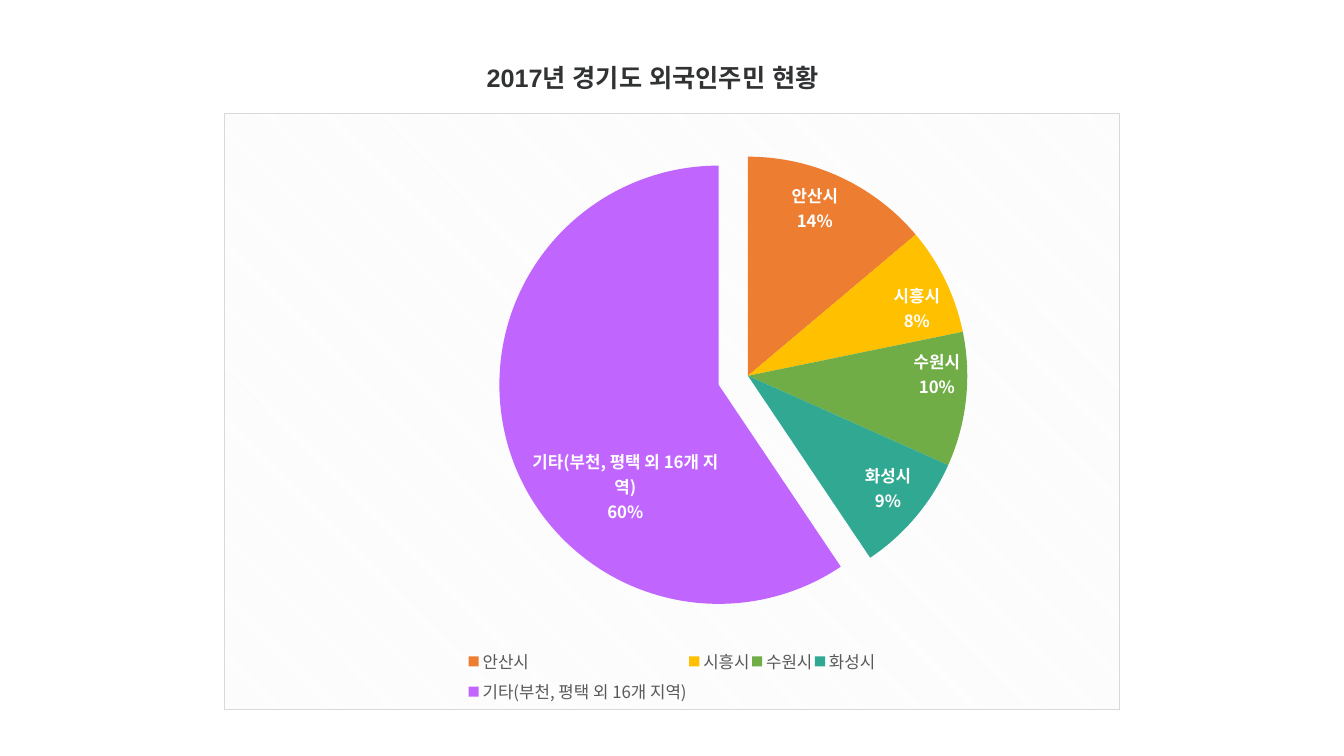
from copy import deepcopy
from lxml import etree
from pptx import Presentation
from pptx.chart.data import CategoryChartData as ChartData
from pptx.dml.color import RGBColor
from pptx.enum.chart import XL_CHART_TYPE as Kind, XL_LABEL_POSITION as Spot
from pptx.enum.chart import XL_LEGEND_POSITION as Side
from pptx.enum.text import MSO_AUTO_SIZE as Fit, PP_ALIGN as Align
from pptx.oxml import parse_xml
from pptx.oxml.ns import nsdecls, qn
from pptx.util import Pt

TITLE = "2017년 경기도 외국인주민 현황"
LATIN = "Arial"
KOREAN = "Noto Sans CJK KR"
WHITE = RGBColor(0xFF, 0xFF, 0xFF)
INK = RGBColor(0x30, 0x32, 0x33)
GREY = RGBColor(0x59, 0x59, 0x59)
BLACK = RGBColor(0, 0, 0)
CITIES = [
    ("안산시", 14, RGBColor(0xED, 0x7D, 0x31)),
    ("시흥시", 8, RGBColor(0xFF, 0xC0, 0x00)),
    ("수원시", 10, RGBColor(0x70, 0xAD, 0x47)),
    ("화성시", 9, RGBColor(0x31, 0xA9, 0x92)),
    ("기타(부천, 평택 외 16개 지역)", 60, RGBColor(0xC1, 0x65, 0xFF)),
]
PLOT = (0.34, 0.07, 0.49, 0.74)
LEGEND = (0.27, 0.89, 0.46, 0.11)
BURST = 14
SHIFT = (0.02, 0.13)
ROOM = (0.18, 0.15)

FRAME = f"""<c:spPr {nsdecls('c', 'a')}>
  <a:pattFill prst="dkDnDiag">
    <a:fgClr><a:srgbClr val="F2F2F2"/></a:fgClr>
    <a:bgClr><a:srgbClr val="FFFFFF"/></a:bgClr>
  </a:pattFill>
  <a:ln w="9525"><a:solidFill><a:srgbClr val="D9D9D9"/></a:solidFill></a:ln>
</c:spPr>"""

EXTRA = f"""<c:extLst {nsdecls('c')}>
  <c:ext uri="{{CE6537A1-D6FC-4f65-9D91-7224C49458BB}}"
    xmlns:c15="http://schemas.microsoft.com/office/drawing/2012/chart">
    <c15:layout><c:manualLayout>
      <c:w val="{ROOM[0]}"/><c:h val="{ROOM[1]}"/>
    </c:manualLayout></c15:layout>
  </c:ext>
</c:extLst>"""


def style(font, name, size, color, bold=False):
    """Set one font for both Latin and Korean letters."""
    font.name, font.size, font.bold = name, Pt(size), bold
    font.color.rgb = color
    latin = font._element.find(qn("a:latin"))
    latin.addnext(etree.Element(qn("a:ea"), typeface=name))


def layout(tags):
    """Return a manual layout made of (tag, value) pairs."""
    body = "".join(f'<c:{tag} val="{val}"/>' for tag, val in tags)
    return parse_xml(f"<c:layout {nsdecls('c')}><c:manualLayout>{body}"
                     "</c:manualLayout></c:layout>")


def place_box(part, box, lead=()):
    """Pin a chart part to a box given in shares of the chart."""
    for old in part.findall(qn("c:layout")):
        part.remove(old)
    tags = [*lead, ("xMode", "edge"), ("yMode", "edge"), *zip("xywh", box)]
    spot = part.find(qn("c:legendPos"))
    part.insert(0 if spot is None else part.index(spot) + 1, layout(tags))


def move_last(group):
    """Give the last slice its own label, shifted and narrowed."""
    label = etree.Element(qn("c:dLbl"))
    etree.SubElement(label, qn("c:idx"), val=str(len(CITIES) - 1))
    label.append(layout(zip("xy", SHIFT)))
    for item in group:
        if item.tag != qn("c:showLeaderLines"):
            label.append(deepcopy(item))
    label.append(parse_xml(EXTRA))
    group.insert(0, label)


def add_pie(slide):
    data = ChartData()
    data.categories = [city for city, _, _ in CITIES]
    data.add_series("외국인주민", [share for _, share, _ in CITIES])
    chart = slide.shapes.add_chart(
        Kind.PIE, Pt(160), Pt(81), Pt(640), Pt(426), data).chart
    style(chart.font, KOREAN, 10, BLACK)
    chart.has_title = False

    plot = chart.plots[0]
    plot.vary_by_categories = True
    pie = plot.series[0]
    for spot, (_, _, color) in enumerate(CITIES):
        fill = pie.points[spot].format.fill
        fill.solid()
        fill.fore_color.rgb = color
    last = pie._element.findall(qn("c:dPt"))[-1]
    burst = etree.Element(qn("c:explosion"), val=str(BURST))
    last.find(qn("c:spPr")).addprevious(burst)

    labels = pie.data_labels
    style(labels.font, KOREAN, 12, WHITE, True)
    labels.number_format = '0"%"'
    labels.number_format_is_linked = False
    labels.show_value = labels.show_category_name = True
    labels.position = Spot.INSIDE_END
    gap = etree.Element(qn("c:separator"))
    gap.text = "\n"
    labels._element.find(qn("c:showBubbleSize")).addnext(gap)
    move_last(labels._element)

    chart.has_legend = True
    legend = chart.legend
    legend.position = Side.BOTTOM
    legend.include_in_layout = False
    style(legend.font, KOREAN, 12, GREY)

    root = chart._chartSpace.chart
    place_box(root.plotArea, PLOT, [("layoutTarget", "inner")])
    place_box(legend._element, LEGEND)
    root.addnext(parse_xml(FRAME))


def add_title(slide):
    box = slide.shapes.add_textbox(Pt(340.5), Pt(41), Pt(279.5), Pt(29))
    frame = box.text_frame
    frame.word_wrap = False
    frame.auto_size = Fit.SHAPE_TO_FIT_TEXT
    line = frame.paragraphs[0]
    line.text = TITLE
    line.alignment = Align.LEFT
    style(line.font, LATIN, 18, INK, True)


def main():
    deck = Presentation()
    deck.slide_width, deck.slide_height = Pt(960), Pt(540)
    slide = deck.slides.add_slide(deck.slide_layouts[6])
    add_pie(slide)
    add_title(slide)
    deck.save("out.pptx")


if __name__ == "__main__":
    main()
